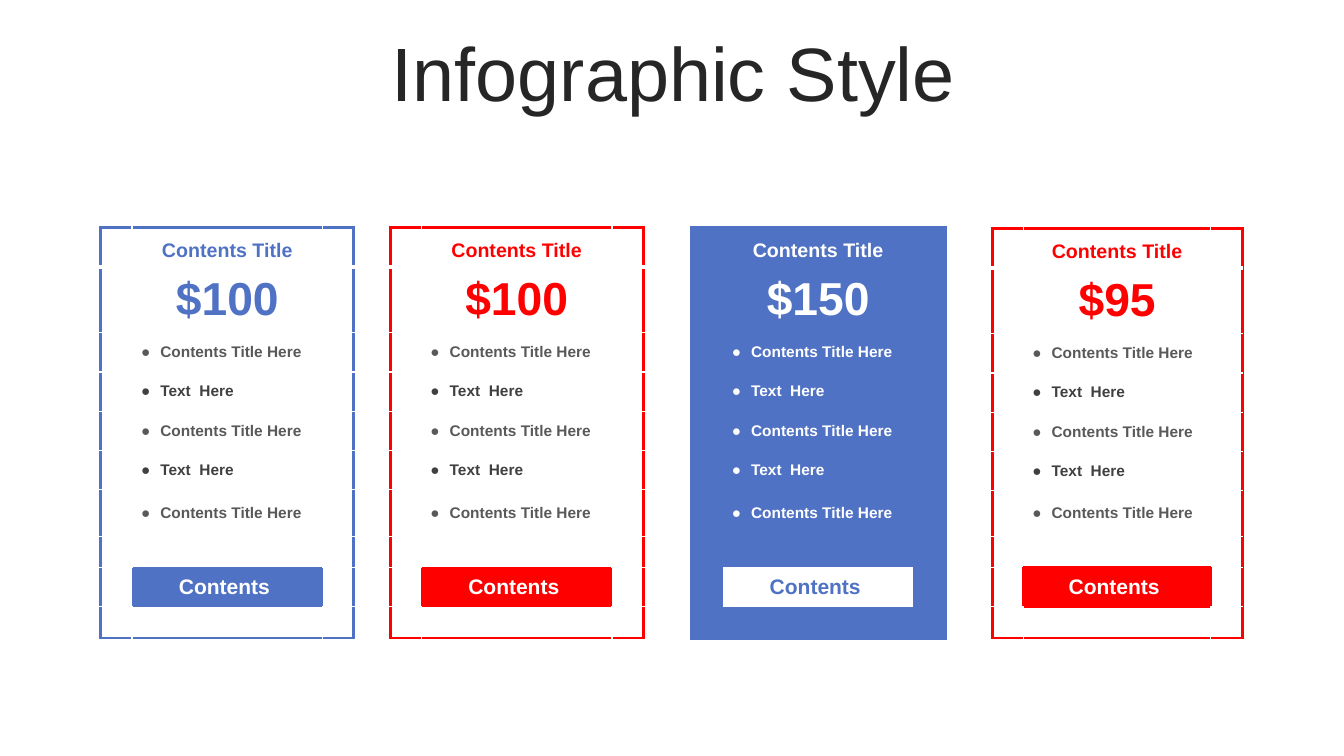
from dataclasses import dataclass

from lxml import etree
from pptx import Presentation
from pptx.dml.color import RGBColor
from pptx.enum.text import MSO_ANCHOR, PP_ALIGN
from pptx.oxml.ns import qn
from pptx.slide import Slide
from pptx.table import _Cell
from pptx.text.text import _Paragraph
from pptx.util import Emu, Pt

MIDDLE = MSO_ANCHOR.MIDDLE
BOTTOM = MSO_ANCHOR.BOTTOM
CENTER = PP_ALIGN.CENTER
LEFT = PP_ALIGN.LEFT

EMU_PER_PX = 9144  # 100 px to the inch
FONT = "Arial"
COLORS = {
    "title": "262626",
    "white": "FFFFFF",
    "blue": "5072C4",
    "red": "FF0000",
    "gray": "595959",
    "dark": "404040",
}

HEADING_ROW, PRICE_ROW, BUTTON_ROW = 0, 1, 8
FEATURES = ["Contents Title Here", "Text  Here"] * 2 + ["Contents Title Here"]
FEATURE_INDENT = 19
SIDE_COLUMN = 31
TEXT_COLUMN = 1
BUTTON = (BUTTON_ROW, TEXT_COLUMN)
# Border tag and the step to the neighbouring cell, in schema order
SIDES = {"a:lnL": (0, -1), "a:lnR": (0, 1), "a:lnT": (-1, 0), "a:lnB": (1, 0)}


@dataclass(frozen=True)
class PriceCard:
    left: int
    top: int
    price: str
    accent: str
    text_width: int = 189
    last_feature_height: int = 46
    featured: bool = False
    button_line: float = 0

    @property
    def row_heights(self) -> list[int]:
        return [39, 65, 39, 39, 39, 39, self.last_feature_height, 31, 39, 31]

    @property
    def column_widths(self) -> list[int]:
        return [SIDE_COLUMN, self.text_width, SIDE_COLUMN]

    @property
    def background(self) -> str:
        return self.accent if self.featured else "white"

    @property
    def foreground(self) -> str:
        return "white" if self.featured else self.accent


@dataclass(frozen=True)
class CellText:
    text: str
    size: int
    color: str
    anchor: MSO_ANCHOR = MIDDLE
    bulleted: bool = False


CARDS = [
    PriceCard(100, 226, "$100", "blue"),
    PriceCard(387, 226, "$100", "red"),
    PriceCard(686, 226, "$150", "blue", featured=True),
    PriceCard(984, 227, "$95", "red", text_width=186, last_feature_height=45,
              button_line=2.25),
]


def px(length: int) -> Emu:
    return Emu(length * EMU_PER_PX)


def rgb(color: str) -> RGBColor:
    return RGBColor.from_string(COLORS[color])


def set_font(paragraph: _Paragraph, size: int, color: str, bold: bool) -> None:
    font = paragraph.font
    font.name = FONT
    font.size = Pt(size)
    font.bold = bold
    font.color.rgb = rgb(color)


def add_title(slide: Slide, text: str) -> None:
    frame = slide.shapes.add_textbox(px(35), px(37), px(1266), px(79)).text_frame
    frame.word_wrap = True
    frame.vertical_anchor = MIDDLE
    paragraph = frame.paragraphs[0]
    paragraph.text = text
    paragraph.alignment = CENTER
    paragraph.line_spacing = 0.9
    set_font(paragraph, 54, "title", False)


def card_texts(card: PriceCard) -> dict[int, CellText]:
    """Map each row that has words to the text of its middle cell."""
    texts = {
        HEADING_ROW: CellText("Contents Title", 14, card.foreground, BOTTOM),
        PRICE_ROW: CellText(card.price, 33, card.foreground),
        BUTTON_ROW: CellText("Contents ", 15, card.background),
    }
    for index, feature in enumerate(FEATURES):
        color = "white" if card.featured else ("gray", "dark")[index % 2]
        texts[PRICE_ROW + 1 + index] = CellText(feature, 11, color, bulleted=True)
    return texts


def border(card: PriceCard, row: int, column: int, side: str) -> tuple[str, float]:
    """Return colour and width in points; a width of 0 means no line."""
    row_step, column_step = SIDES[side]
    neighbour = (row + row_step, column + column_step)
    inside = (0 <= neighbour[0] < len(card.row_heights)
              and 0 <= neighbour[1] < len(card.column_widths))
    if not inside:
        return card.accent, 3 if card.featured else 2.25
    if card.featured:
        return card.accent, 0
    if BUTTON in ((row, column), neighbour):
        return card.accent, card.button_line
    return "white", 3 if row == HEADING_ROW and side == "a:lnB" else 1


def draw_border(cell: _Cell, side: str, color: str, width: float) -> None:
    properties = cell._tc.get_or_add_tcPr()
    line = etree.SubElement(properties, qn(side), w=str(Pt(width)))
    if width:
        fill = etree.SubElement(line, qn("a:solidFill"))
        etree.SubElement(fill, qn("a:srgbClr"), val=COLORS[color])
    else:
        etree.SubElement(line, qn("a:noFill"))


def add_bullet(paragraph: _Paragraph) -> None:
    properties = paragraph._p.get_or_add_pPr()
    properties.set("marL", str(px(FEATURE_INDENT)))
    properties.set("indent", str(px(-FEATURE_INDENT)))
    etree.SubElement(properties, qn("a:buFont"), typeface=FONT)
    etree.SubElement(properties, qn("a:buChar"), char="●")


def write_cell(cell: _Cell, content: CellText) -> None:
    cell.vertical_anchor = content.anchor
    cell.margin_left = cell.margin_right = px(9)
    cell.margin_top = cell.margin_bottom = px(5)
    paragraph = cell.text_frame.paragraphs[0]
    paragraph.text = content.text
    paragraph.alignment = LEFT if content.bulleted else CENTER
    if content.bulleted:
        add_bullet(paragraph)
    set_font(paragraph, content.size, content.color, True)


def add_card(slide: Slide, card: PriceCard) -> None:
    heights, widths = card.row_heights, card.column_widths
    table = slide.shapes.add_table(
        len(heights), len(widths), px(card.left), px(card.top),
        px(sum(widths)), px(sum(heights))).table
    table.first_row = table.horz_banding = False
    for column, width in enumerate(widths):
        table.columns[column].width = px(width)
    texts = card_texts(card)
    for row, height in enumerate(heights):
        table.rows[row].height = px(height)
        for column in range(len(widths)):
            cell = table.cell(row, column)
            for side in SIDES:
                draw_border(cell, side, *border(card, row, column, side))
            is_button = (row, column) == BUTTON
            cell.fill.solid()
            cell.fill.fore_color.rgb = rgb(
                card.foreground if is_button else card.background)
            if column == TEXT_COLUMN and row in texts:
                write_cell(cell, texts[row])
            else:
                cell.margin_top = cell.margin_bottom = 0


def main() -> None:
    presentation = Presentation()
    presentation.slide_width = px(1333)
    presentation.slide_height = px(750)
    slide = presentation.slides.add_slide(presentation.slide_layouts[6])
    add_title(slide, "Infographic Style")
    for card in CARDS:
        add_card(slide, card)
    presentation.save("out.pptx")


if __name__ == "__main__":
    main()
